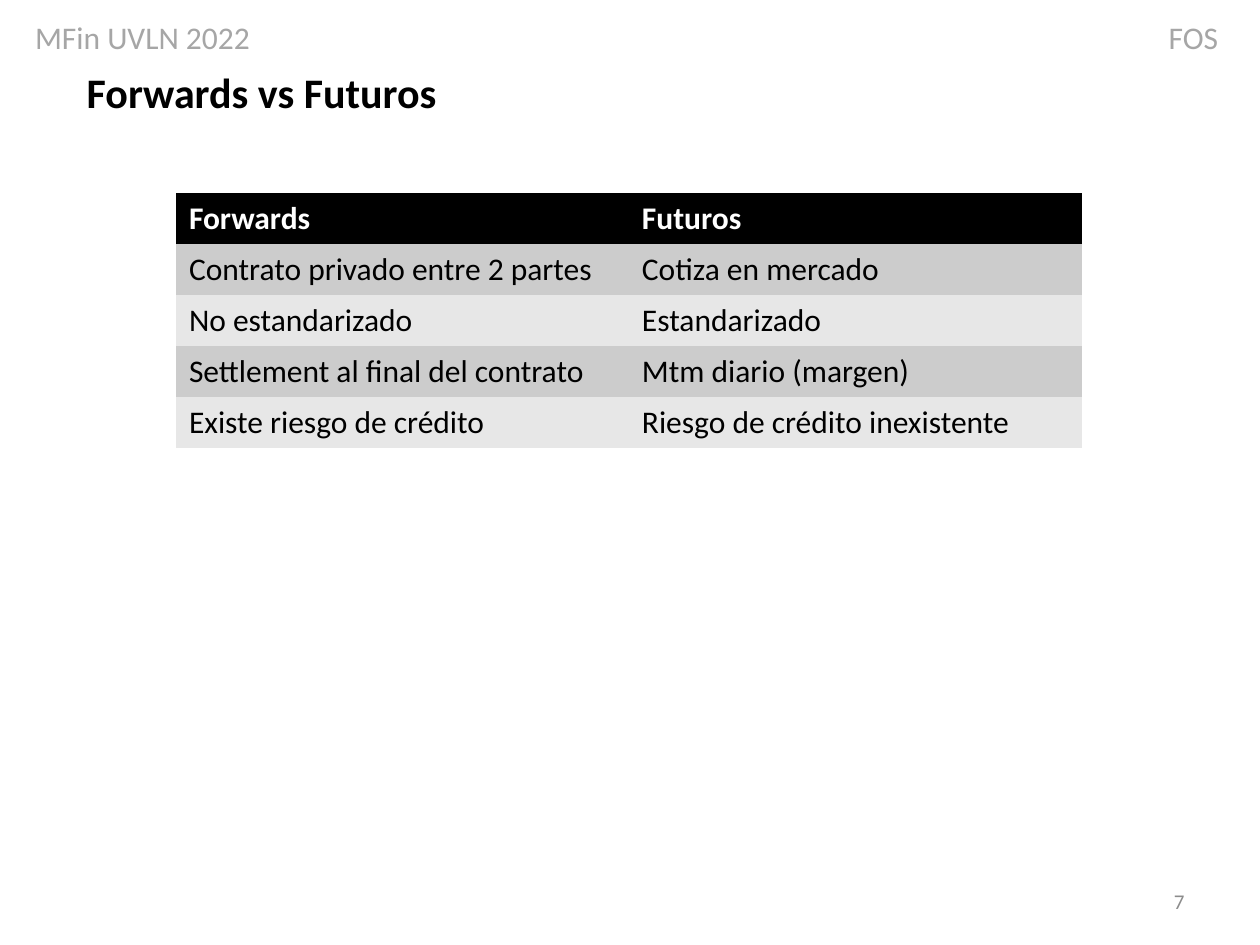
from lxml import etree
from pptx import Presentation
from pptx.dml.color import RGBColor
from pptx.enum.text import MSO_ANCHOR, PP_ALIGN
from pptx.oxml.ns import qn
from pptx.util import Inches, Pt

LEFT, RIGHT = PP_ALIGN.LEFT, PP_ALIGN.RIGHT
TOP, MIDDLE = MSO_ANCHOR.TOP, MSO_ANCHOR.MIDDLE

BLACK = RGBColor(0x00, 0x00, 0x00)
WHITE = RGBColor(0xFF, 0xFF, 0xFF)
HEADER_GRAY = RGBColor(0xA6, 0xA6, 0xA6)
NUMBER_GRAY = RGBColor(0x8C, 0x8C, 0x8C)
BANDS = (RGBColor(0xE7, 0xE7, 0xE7), RGBColor(0xCC, 0xCC, 0xCC))

NO_GRID_STYLE = "{2D5ABB26-0587-4C30-8999-92F81FD0307C}"

ROWS = (
    ("Forwards", "Futuros"),
    ("Contrato privado entre 2 partes", "Cotiza en mercado"),
    ("No estandarizado", "Estandarizado"),
    ("Settlement al final del contrato", "Mtm diario (margen)"),
    ("Existe riesgo de crédito", "Riesgo de crédito inexistente"),
)


class SlideBuilder:
    """Holds the slide and its text style."""

    font = "Calibri"

    def __init__(self, slide):
        self.slide = slide

    def style(self, p, size, color, bold=False):
        for r in p.runs:
            r.font.name = self.font
            r.font.size = Pt(size)
            r.font.bold = bold
            r.font.color.rgb = color

    def text(self, text, left, top, width, height, size, color,
             bold=False, align=LEFT, anchor=TOP):
        box = self.slide.shapes.add_textbox(
            Inches(left), Inches(top), Inches(width), Inches(height))
        tf = box.text_frame
        tf.word_wrap = True
        tf.vertical_anchor = anchor
        p = tf.paragraphs[0]
        p.text = text
        p.alignment = align
        self.style(p, size, color, bold)
        return p

    def right_tab(self, p, position):
        tabs = etree.SubElement(p._p.get_or_add_pPr(), qn("a:tabLst"))
        etree.SubElement(tabs, qn("a:tab"), pos=str(Inches(position)), algn="r")

    def table(self, rows, left, top, width, height, size):
        frame = self.slide.shapes.add_table(
            len(rows), len(rows[0]), Inches(left), Inches(top),
            Inches(width), Inches(height))
        table = frame.table
        table._tbl.tblPr.find(qn("a:tableStyleId")).text = NO_GRID_STYLE
        for i, row in enumerate(rows):
            heading = i == 0
            for j, text in enumerate(row):
                cell = table.cell(i, j)
                cell.text = text
                cell.fill.solid()
                cell.fill.fore_color.rgb = BLACK if heading else BANDS[i % 2]
                self.style(cell.text_frame.paragraphs[0], size,
                           WHITE if heading else BLACK, heading)


def main():
    prs = Presentation()
    prs.slide_width, prs.slide_height = Inches(10), Inches(7.5)
    s = SlideBuilder(prs.slides.add_slide(prs.slide_layouts[6]))

    # Title and slide number
    s.text("Forwards vs Futuros", 0.59, 0.48, 9.13, 2.32, 24, BLACK, bold=True)
    s.text("7", 7.17, 6.95, 2.33, 0.4, 12, NUMBER_GRAY,
           align=RIGHT, anchor=MIDDLE)

    # Running header, with the course at the right-hand tab
    header = s.text("MFin UVLN 2022\tFOS", 0.18, 0.09, 9.69, 0.4, 18, HEADER_GRAY)
    s.right_tab(header, 9.39)

    # Comparison table
    s.table(ROWS, 1.4, 1.53, 7.19, 2.03, 18)

    prs.save("out.pptx")


if __name__ == "__main__":
    main()
